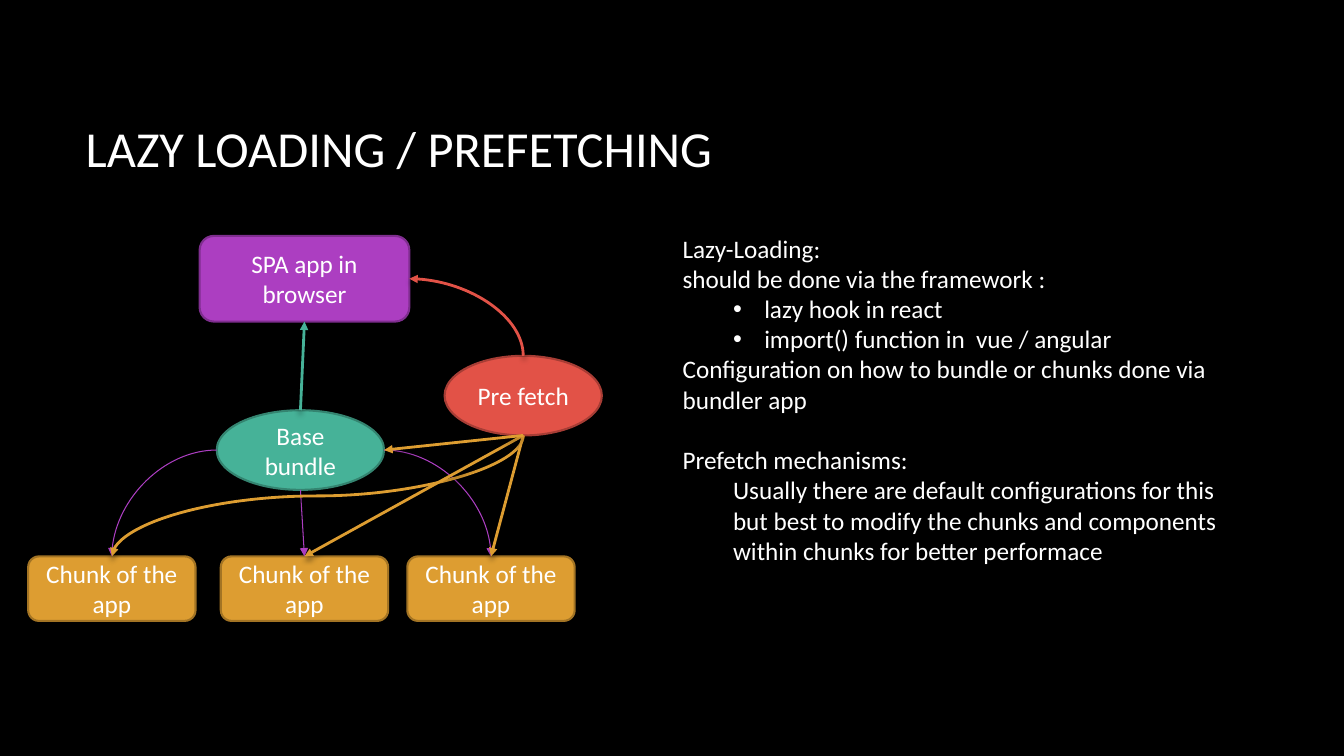
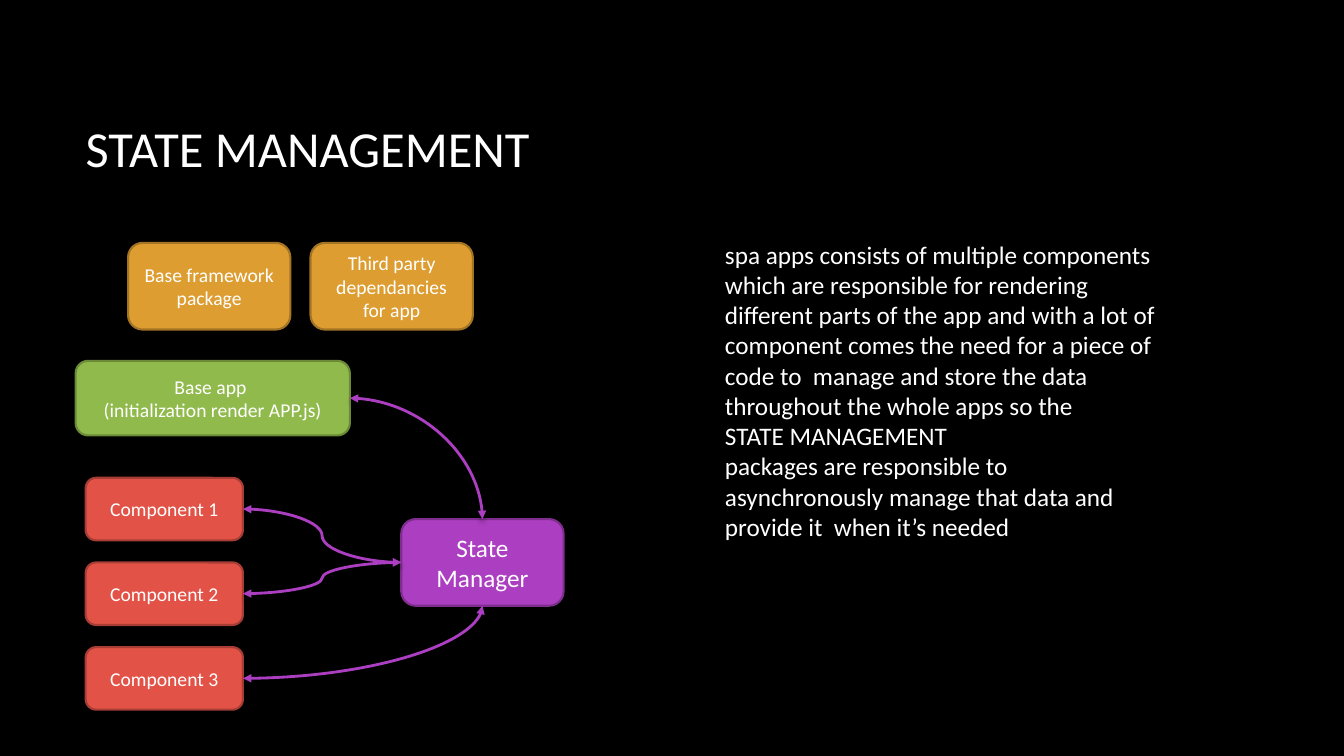
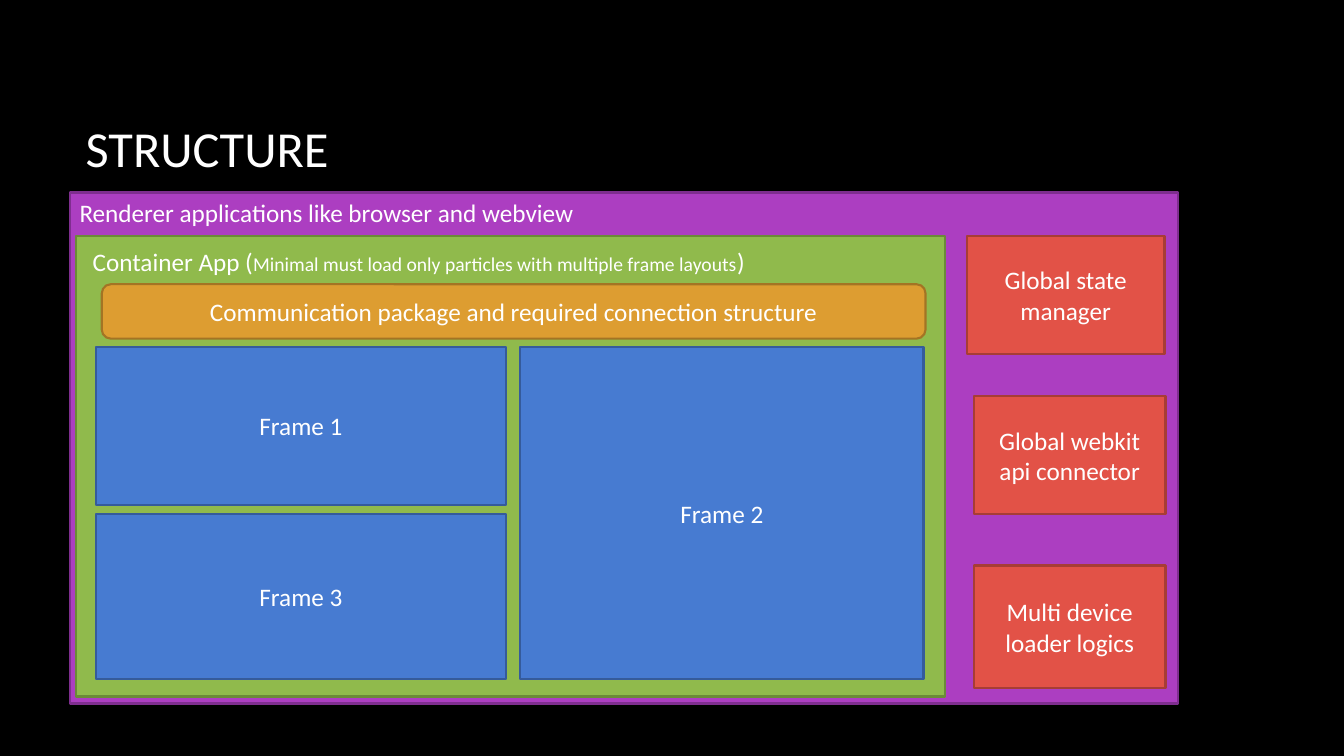
from lxml import etree
from pptx import Presentation
from pptx.dml.color import RGBColor
from pptx.enum.shapes import MSO_CONNECTOR, MSO_SHAPE
from pptx.enum.text import MSO_ANCHOR, MSO_AUTO_SIZE, PP_ALIGN
from pptx.oxml import parse_xml
from pptx.oxml.ns import nsdecls, qn
from pptx.util import Inches, Pt

RECT = MSO_SHAPE.RECTANGLE
ROUNDED = MSO_SHAPE.ROUNDED_RECTANGLE
OVAL = MSO_SHAPE.OVAL
STRAIGHT = MSO_CONNECTOR.STRAIGHT
CURVE = MSO_CONNECTOR.CURVE
LEFT = PP_ALIGN.LEFT
CENTER = PP_ALIGN.CENTER
TOP = MSO_ANCHOR.TOP
MIDDLE = MSO_ANCHOR.MIDDLE
NO_FIT = MSO_AUTO_SIZE.NONE

FONT = "Calibri"
BLACK = RGBColor(0x00, 0x00, 0x00)
WHITE = RGBColor(0xFF, 0xFF, 0xFF)
PURPLE = RGBColor(0xAC, 0x3E, 0xC1)
TEAL = RGBColor(0x46, 0xB2, 0x98)
ORANGE = RGBColor(0xDD, 0x9D, 0x31)
RED = RGBColor(0xE2, 0x52, 0x47)
GREEN = RGBColor(0x90, 0xBA, 0x4C)
BLUE = RGBColor(0x47, 0x7B, 0xD1)
OUTLINES = {
    PURPLE: RGBColor(0x7F, 0x2E, 0x8F),
    TEAL: RGBColor(0x34, 0x84, 0x70),
    ORANGE: RGBColor(0xA3, 0x74, 0x24),
    RED: RGBColor(0xA7, 0x3D, 0x35),
    GREEN: RGBColor(0x6B, 0x8A, 0x38),
    BLUE: RGBColor(0x35, 0x5B, 0x9B),
}

CONTENT_LAYOUT = 1
TITLE_LAYOUT = 5
SIDES = ("top", "left", "bottom", "right")
HORIZONTAL = ("left", "right")
LINE_HEIGHT = 21.6
SHADOW = (
    f'<a:effectLst {nsdecls("a")}>'
    '<a:outerShdw blurRad="50800" dist="38100" dir="5400000" rotWithShape="0">'
    '<a:srgbClr val="000000"><a:alpha val="35000"/></a:srgbClr>'
    '</a:outerShdw></a:effectLst>'
)
NO_EFFECT = f'<a:effectLst {nsdecls("a")}/>'


def place(shape, left, top, width, height):
    shape.left, shape.top = Inches(left), Inches(top)
    shape.width, shape.height = Inches(width), Inches(height)


def style_para(para, size, align=LEFT):
    para.alignment = align
    para.font.name = FONT
    para.font.size = Pt(size)
    para.font.color.rgb = WHITE


def add_page(deck, layout, title):
    page = deck.slides.add_slide(deck.slide_layouts[layout])
    place(page.shapes.title, 0.75, 0.67, 11.08, 1.59)
    frame = page.shapes.title.text_frame
    frame.text = title
    frame.auto_size = NO_FIT
    frame.vertical_anchor = MIDDLE
    style_para(frame.paragraphs[0], 36)
    return page


def add_node(page, kind, area, color, text="", size=18):
    node = page.shapes.add_shape(kind, *map(Inches, area))
    node.shadow.inherit = False
    node.fill.solid()
    node.fill.fore_color.rgb = color
    node.line.color.rgb = OUTLINES[color]
    node.line.width = Pt(1.5)
    if text:
        frame = node.text_frame
        frame.word_wrap = True
        frame.vertical_anchor = MIDDLE
        para = frame.paragraphs[0]
        para.text = text
        style_para(para, size, CENTER)
    return node


def add_label(page, area, spans):
    box = page.shapes.add_textbox(*map(Inches, area))
    box.text_frame.word_wrap = True
    para = box.text_frame.paragraphs[0]
    style_para(para, 18)
    for text, size in spans:
        span = para.add_run()
        span.text = text
        span.font.size = Pt(size)


def fill_body(page, area, lines):
    body = page.placeholders[1]
    place(body, *area)
    frame = body.text_frame
    frame.auto_size = NO_FIT
    frame.vertical_anchor = TOP
    for number, (text, margin, bullet, space) in enumerate(lines):
        para = frame.add_paragraph() if number else frame.paragraphs[0]
        para.text = text
        props = para._p.get_or_add_pPr()
        props.set("marL", str(Inches(margin)))
        props.set("indent", str(Inches(-0.31 if bullet else 0)))
        if bullet:
            etree.SubElement(props, qn("a:buChar"), char="•")
        else:
            etree.SubElement(props, qn("a:buNone"))
        para.space_before = Pt(space)
        style_para(para, 18)


def side_point(node, side):
    center_x = node.left + node.width // 2
    center_y = node.top + node.height // 2
    return {
        "top": (center_x, node.top),
        "left": (node.left, center_y),
        "bottom": (center_x, node.top + node.height),
        "right": (node.left + node.width, center_y),
    }[side]


def glue(connector, tag, node, side):
    step = 2 if node.auto_shape_type == OVAL else 1
    links = connector._element.find(".//" + qn("p:cNvCxnSpPr"))
    etree.SubElement(links, qn(tag), id=str(node.shape_id),
                     idx=str(SIDES.index(side) * step))


def link(page, start, end, color, width=2, curved=False, arrows=("tailEnd",)):
    (x1, y1), (x2, y2) = side_point(*start), side_point(*end)
    start_flat, end_flat = start[1] in HORIZONTAL, end[1] in HORIZONTAL
    turned = curved and not start_flat and not end_flat
    if turned:
        middle_x, middle_y = (x1 + x2) // 2, (y1 + y2) // 2
        half_width, half_height = (y2 - y1) // 2, (x1 - x2) // 2
        x1, x2 = middle_x - half_width, middle_x + half_width
        y1, y2 = middle_y - half_height, middle_y + half_height
    connector = page.shapes.add_connector(
        CURVE if curved else STRAIGHT, x1, y1, x2, y2)
    glue(connector, "a:stCxn", *start)
    glue(connector, "a:endCxn", *end)
    props = connector._element.spPr
    if turned:
        props.find(qn("a:xfrm")).set("rot", "5400000")
    elif curved and start_flat != end_flat:
        props.find(qn("a:prstGeom")).set("prst", "curvedConnector2")
    connector.line.color.rgb = color
    connector.line.width = Pt(width)
    outline = props.find(qn("a:ln"))
    for arrow in arrows:
        etree.SubElement(outline, qn("a:" + arrow), type="triangle")
    props.append(parse_xml(SHADOW if width > 1 else NO_EFFECT))


def build_loading(deck):
    page = add_page(deck, CONTENT_LAYOUT, "LAZY LOADING / PREFETCHING")
    browser = add_node(page, ROUNDED, (1.98, 2.34, 2.08, 0.85), PURPLE,
                       "SPA app in browser")
    bundle = add_node(page, OVAL, (2.15, 4.07, 1.66, 0.79), TEAL, "Base bundle")
    chunks = [add_node(page, ROUNDED, (left, 5.52, 1.66, 0.64), ORANGE,
                       "Chunk of the app") for left in (0.28, 2.19, 4.04)]
    prefetch = add_node(page, OVAL, (4.41, 3.53, 1.56, 0.79), RED, "Pre fetch")

    link(page, (bundle, "top"), (browser, "bottom"), TEAL)
    for chunk, side in zip(chunks, ("left", "bottom", "right")):
        link(page, (bundle, side), (chunk, "top"), PURPLE, 0.75,
             curved=side in HORIZONTAL)
    for chunk in chunks:
        link(page, (prefetch, "bottom"), (chunk, "top"), ORANGE,
             curved=chunk is chunks[0])
    link(page, (prefetch, "bottom"), (bundle, "right"), ORANGE)
    link(page, (browser, "right"), (prefetch, "top"), RED, curved=True,
         arrows=("headEnd",))

    fill_body(page, (6.67, 2.26, 5.76, 4.04), [
        ("Lazy-Loading:", 0, False, 0),
        ("should be done via the framework :", 0, False, 0),
        ("lazy hook in react", 0.81, True, 0),
        ("import() function in  vue / angular", 0.81, True, 0),
        ("Configuration on how to bundle or chunks done via bundler app",
         0, False, 0),
        ("Prefetch mechanisms:", 0, False, LINE_HEIGHT),
        ("Usually there are default configurations for this but best to modify "
         "the chunks and components within chunks for better performace",
         0.5, False, 0),
    ])


def build_state(deck):
    page = add_page(deck, CONTENT_LAYOUT, "STATE MANAGEMENT")
    packages = ("Base framework package", "Third party dependancies for app")
    for number, text in enumerate(packages):
        add_node(page, ROUNDED, (1.27 + 1.81 * number, 2.41, 1.61, 0.86),
                 ORANGE, text, 14)
    app = add_node(page, ROUNDED, (0.75, 3.58, 2.72, 0.74), GREEN,
                   "Base app \n(initialization render APP.js)", 14)
    components = [add_node(page, ROUNDED, (0.85, 4.74 + 0.84 * number, 1.56, 0.62),
                           RED, f"Component {number + 1}", 14)
                  for number in range(3)]
    manager = add_node(page, ROUNDED, (3.98, 5.15, 1.61, 0.86), PURPLE,
                       "State Manager")
    for node, side in zip([app, *components], ("top", "left", "left", "bottom")):
        link(page, (node, "right"), (manager, side), PURPLE, curved=True,
             arrows=("headEnd", "tailEnd"))

    fill_body(page, (7.09, 2.32, 4.58, 3.13), [
        ("spa apps consists of multiple components which are responsible for "
         "rendering different parts of the app and with a lot of component comes "
         "the need for a piece of code to  manage and store the data throughout "
         "the whole apps so the \nSTATE MANAGEMENT\npackages are responsible to "
         "asynchronously manage that data and provide it  when it’s needed",
         0, False, 0),
    ])


def build_structure(deck):
    page = add_page(deck, TITLE_LAYOUT, "STRUCTURE")
    add_node(page, RECT, (0.69, 1.91, 10.99, 5.07), PURPLE)
    add_label(page, (0.69, 1.91, 6.62, 0.4),
              [("Renderer applications like browser and webview", 18)])
    add_node(page, RECT, (0.75, 2.34, 8.62, 4.57), GREEN)
    add_label(page, (0.82, 2.39, 7.11, 0.4), [
        ("Container App (", 18),
        ("Minimal must load only particles with multiple frame layouts", 14),
        (")", 18),
    ])
    add_node(page, ROUNDED, (1.01, 2.82, 8.17, 0.54), ORANGE,
             "Communication package and required connection structure")
    blocks = [
        ((0.95, 3.44, 4.07, 1.57), BLUE, "Frame 1"),
        ((5.16, 3.44, 4, 3.3), BLUE, "Frame 2"),
        ((0.95, 5.1, 4.07, 1.64), BLUE, "Frame 3"),
        ((9.59, 2.34, 1.96, 1.17), RED, "Global state manager"),
        ((9.66, 3.93, 1.9, 1.17), RED, "Global webkit api connector"),
        ((9.66, 5.61, 1.9, 1.22), RED, "Multi device loader logics"),
    ]
    for area, color, text in blocks:
        add_node(page, RECT, area, color, text)


def main():
    deck = Presentation()
    deck.slide_width, deck.slide_height = Inches(13.33), Inches(7.5)
    backdrop = deck.slide_master.background.fill
    backdrop.solid()
    backdrop.fore_color.rgb = BLACK
    build_loading(deck)
    build_state(deck)
    build_structure(deck)
    deck.save("out.pptx")


if __name__ == "__main__":
    main()
